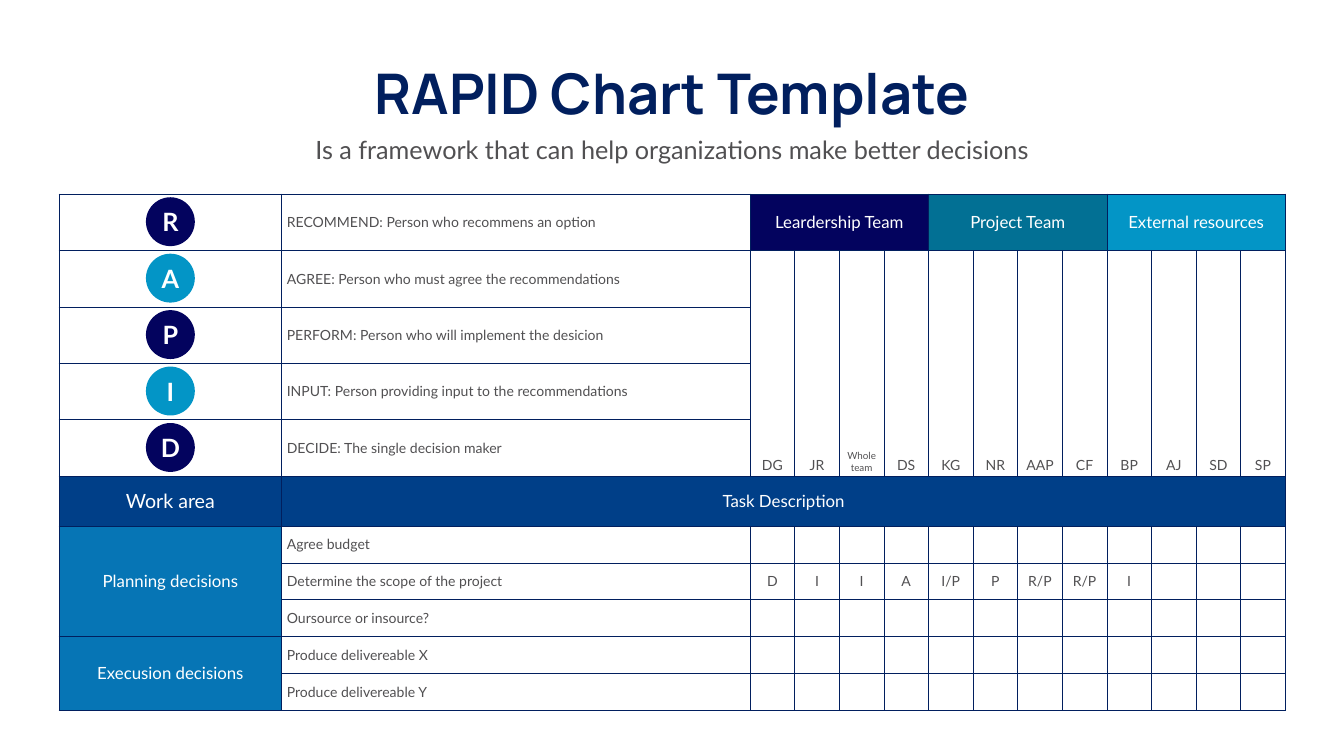
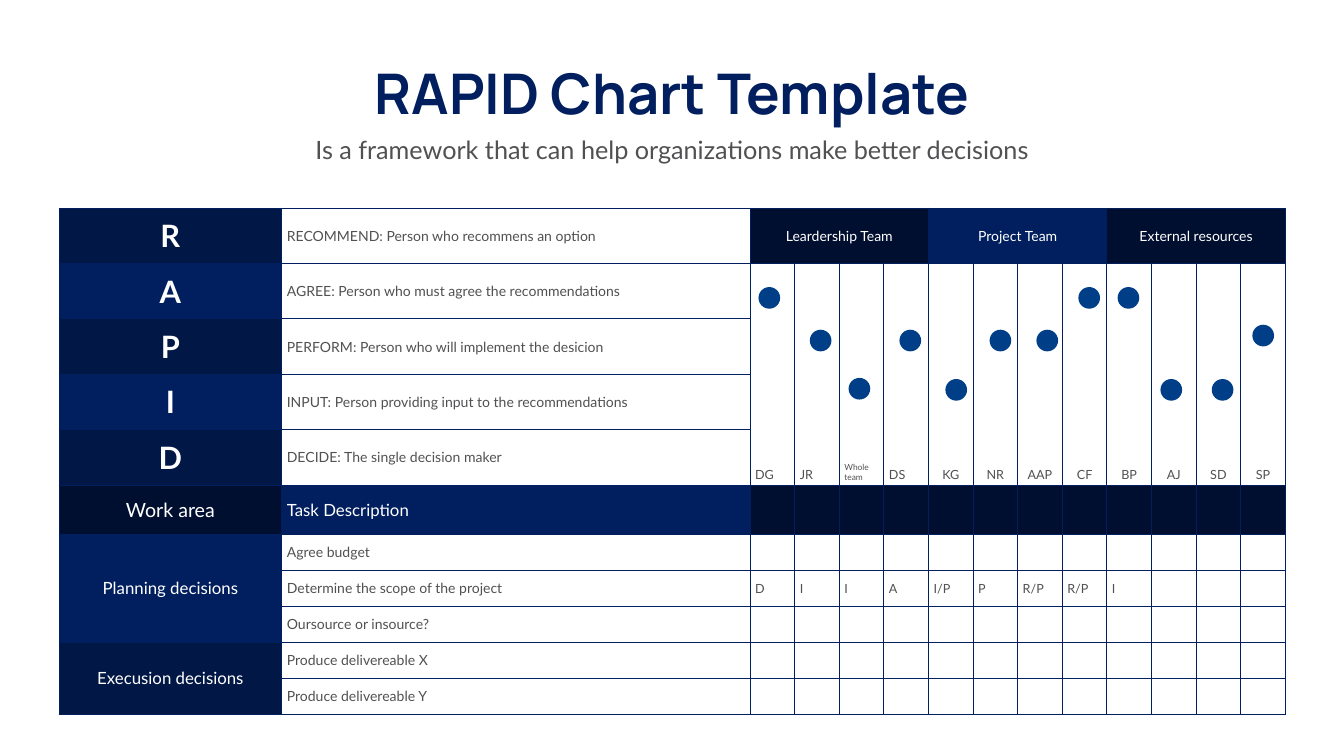
import pptx
import pptx.dml.color
import pptx.enum.shapes
import pptx.enum.text
import pptx.oxml
import pptx.oxml.ns
import pptx.util

TITLE = "RAPID Chart Template"
LEAD = "Is a framework that can help organizations make better decisions"
ROLES = [
    ("R", "RECOMMEND: Person who recommens an option"),
    ("A", "AGREE: Person who must agree the recommendations"),
    ("P", "PERFORM: Person who will implement the desicion"),
    ("I", "INPUT: Person providing input to the recommendations"),
    ("D", "DECIDE: The single decision maker"),
]
TEAMS = ["Leardership Team", "Project Team", "External resources"]
NAMES = ["DG", "JR", "Whole team", "DS", "KG", "NR",
         "AAP", "CF", "BP", "AJ", "SD", "SP"]
HEADS = ["Work area", "Task Description"]
AREAS = [
    ("Planning decisions", [
        "Agree budget",
        "Determine the scope of the project",
        "Oursource or insource?",
    ]),
    ("Execusion decisions", ["Produce delivereable X", "Produce delivereable Y"]),
]
SCOPE = 1
MARKS = ["D", "I", "I", "A", "I/P", "P", "R/P", "R/P", "I"]
DOTS = [(0.43, 1.62), (1.58, 2.39), (2.45, 3.26), (3.59, 2.39),
        (4.62, 3.28), (5.61, 2.39), (6.66, 2.39), (7.6, 1.62),
        (8.48, 1.62), (9.44, 3.28), (10.59, 3.28), (11.5, 2.3)]

THEME = {
    "head": "Manrope", "body": "Lato",
    "navy": "011F5E", "grey": "515052", "white": "FFFFFF", "dot": "003F88",
    "title": 80, "lead": 36, "disc": 36, "letter": 44,
    "work": 28, "band": 24, "text": 20,
}
BRIGHT = {
    "top": 3.85, "high": 10.24, "line": 1,
    "discs": ["03035E", "0395C6"], "letters": ["FFFFFF"],
    "teams": ["03035E", "027094", "0395C6"], "areas": ["0675B5", "0675B5"],
    "work": "003F88", "task": "003F88", "span": True,
    "team": 24, "name": 20, "small": 14, "mark": 20, "left": 0,
}
DARK = {
    "top": 4.13, "high": 10.05, "line": 1.5,
    "discs": [], "letters": ["011746", "011F5E"],
    "teams": ["000F2F", "011F5E", "000F2F"], "areas": ["011F5E", "011746"],
    "work": "000F2F", "task": "011F5E", "span": False,
    "team": 20, "name": 18, "small": 12, "mark": 18, "left": 4,
}

WIDE, TALL = 26.66, 15
LEFT, SPAN = 1.17, 24.33
COLS = [4.42, 9.29]
STEP = (SPAN - sum(COLS)) / len(NAMES)
HEADROW = len(ROLES)
PARTS = [1.12] * HEADROW + [0.99] + [0.73] * sum(len(t) for _, t in AREAS)
DISC, DOT = 0.97, 0.43

Inch = pptx.util.Inches
Align = pptx.enum.text.PP_ALIGN
Anchor = pptx.enum.text.MSO_ANCHOR


def tint(code):
    return pptx.dml.color.RGBColor.from_string(code)


def write(frame, text, size, color, bold=False, mid=True, face="body"):
    para = frame.paragraphs[0]
    para.alignment = Align.CENTER if mid else Align.LEFT
    run = para.add_run()
    run.text = text
    run.font.size = pptx.util.Pt(size)
    run.font.name = THEME[face]
    run.font.bold = bold
    run.font.color.rgb = tint(THEME[color])


def label(slide, box, text, size, color, face, bold, wrap):
    frame = slide.shapes.add_textbox(*map(Inch, box)).text_frame
    frame.word_wrap = wrap
    frame.auto_size = pptx.enum.text.MSO_AUTO_SIZE.SHAPE_TO_FIT_TEXT
    write(frame, text, size, color, bold, face=face)


def disc(slide, x, y, size, color):
    oval = slide.shapes.add_shape(
        pptx.enum.shapes.MSO_SHAPE.OVAL,
        *map(Inch, (x - size / 2, y - size / 2, size, size)))
    oval.shadow.inherit = False
    oval.fill.solid()
    oval.fill.fore_color.rgb = tint(color)
    oval.line.fill.background()
    return oval


def border(cell, width):
    props = cell._tc.get_or_add_tcPr()
    for side in "LRTB":
        props.append(pptx.oxml.parse_xml(
            f'<a:ln{side} {pptx.oxml.ns.nsdecls("a")} w="{pptx.util.Pt(width)}">'
            f'<a:solidFill><a:srgbClr val="{THEME["navy"]}"/></a:solidFill>'
            f'</a:ln{side}>'))


def paint(cell, color):
    cell.fill.solid()
    cell.fill.fore_color.rgb = tint(color)


def put(cell, text, size, color="grey", mid=True, bold=False, low=False):
    cell.vertical_anchor = Anchor.BOTTOM if low else Anchor.MIDDLE
    write(cell.text_frame, text, size, color, bold, mid)


def grid(slide, look):
    count = len(COLS) + len(NAMES)
    frame = slide.shapes.add_table(
        len(PARTS), count, *map(Inch, (LEFT, look["top"], SPAN, look["high"])))
    table = frame.table
    table.first_row = table.horz_banding = False
    for col, width in zip(table.columns, COLS + [STEP] * len(NAMES)):
        col.width = Inch(width)
    for row, part in zip(table.rows, PARTS):
        row.height = Inch(look["high"] * part / sum(PARTS))
    for cell in table.iter_cells():
        border(cell, look["line"])
        paint(cell, THEME["white"])

    for row, (sign, text) in enumerate(ROLES):
        paint(table.cell(row, 0), look["letters"][row % len(look["letters"])])
        if not look["discs"]:
            put(table.cell(row, 0), sign, THEME["letter"], "white", bold=True)
        put(table.cell(row, 1), text, THEME["text"], mid=False)

    size = len(NAMES) // len(TEAMS)
    for num, (team, color) in enumerate(zip(TEAMS, look["teams"])):
        col = len(COLS) + num * size
        cell = table.cell(0, col)
        cell.merge(table.cell(0, col + size - 1))
        paint(cell, color)
        put(cell, team, look["team"], "white")

    for num, name in enumerate(NAMES):
        col = len(COLS) + num
        cell = table.cell(1, col)
        cell.merge(table.cell(HEADROW - 1, col))
        kind = "small" if " " in name else "name"
        put(cell, name, look[kind], mid=num >= look["left"], low=True)

    for col in range(count):
        paint(table.cell(HEADROW, col), look["task" if col == 1 else "work"])
    put(table.cell(HEADROW, 0), HEADS[0], THEME["work"], "white")
    task = table.cell(HEADROW, 1)
    if look["span"]:
        task.merge(table.cell(HEADROW, count - 1))
    put(task, HEADS[1], THEME["band"], "white", mid=look["span"])

    row = HEADROW + 1
    for (area, tasks), color in zip(AREAS, look["areas"]):
        cell = table.cell(row, 0)
        cell.merge(table.cell(row + len(tasks) - 1, 0))
        paint(cell, color)
        put(cell, area, THEME["band"], "white")
        for text in tasks:
            put(table.cell(row, 1), text, THEME["text"], mid=False)
            row += 1
    for col, mark in enumerate(MARKS, len(COLS)):
        put(table.cell(HEADROW + 1 + SCOPE, col), mark, look["mark"],
            mid=not look["left"])


def page(deck, look):
    slide = deck.slides.add_slide(deck.slide_layouts[6])
    grid(slide, look)
    label(slide, (6.89, 1.12, 12.88, 1.45), TITLE, THEME["title"],
          "navy", "head", True, False)
    label(slide, (2.92, 2.61, 20.82, 0.71), LEAD, THEME["lead"],
          "grey", "body", False, True)
    return slide


def main():
    deck = pptx.Presentation()
    deck.slide_width, deck.slide_height = Inch(WIDE), Inch(TALL)

    slide = page(deck, BRIGHT)
    step = BRIGHT["high"] * PARTS[0] / sum(PARTS)
    for num, (sign, _) in enumerate(ROLES):
        oval = disc(slide, LEFT + COLS[0] / 2, BRIGHT["top"] + step * (num + 0.49),
                    DISC, BRIGHT["discs"][num % 2])
        oval.text_frame.vertical_anchor = Anchor.MIDDLE
        write(oval.text_frame, sign, THEME["disc"], "white", True)

    slide = page(deck, DARK)
    step = DARK["high"] * PARTS[0] / sum(PARTS)
    for col, row in DOTS:
        disc(slide, LEFT + sum(COLS) + col * STEP, DARK["top"] + row * step,
             DOT, THEME["dot"])

    deck.save("out.pptx")


if __name__ == "__main__":
    main()
